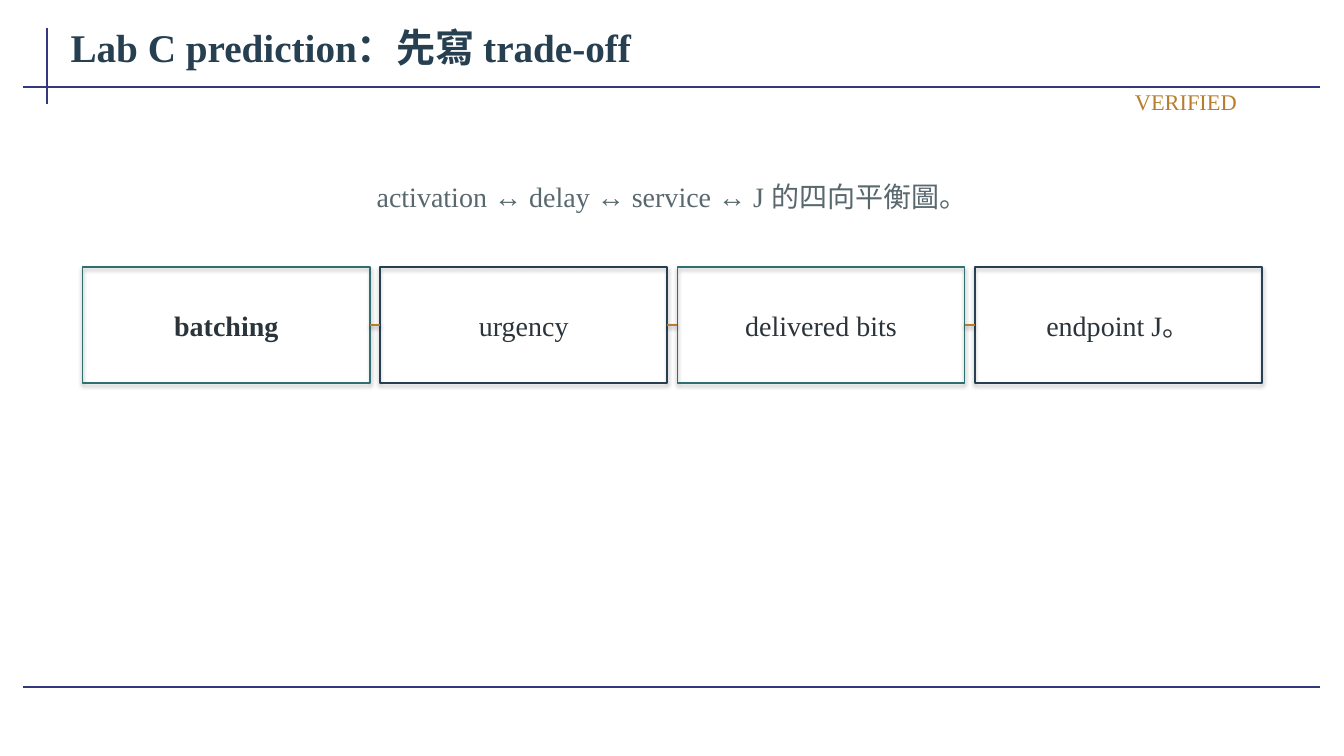
"""Build the Lab C prediction slide with its four-way trade-off row."""
from lxml import etree
from pptx import Presentation
from pptx.dml.color import RGBColor
from pptx.enum.shapes import MSO_CONNECTOR, MSO_SHAPE
from pptx.enum.text import MSO_ANCHOR, MSO_AUTO_SIZE, PP_ALIGN
from pptx.oxml.ns import qn
from pptx.util import Pt

STRAIGHT = MSO_CONNECTOR.STRAIGHT
RECTANGLE = MSO_SHAPE.RECTANGLE
MIDDLE = MSO_ANCHOR.MIDDLE
NO_AUTOFIT = MSO_AUTO_SIZE.NONE
LEFT, CENTER, RIGHT = PP_ALIGN.LEFT, PP_ALIGN.CENTER, PP_ALIGN.RIGHT

FONT = "Times New Roman"
COLORS = {
    "rule": "35377F",
    "navy": "263F51",
    "teal": "2F6F70",
    "gold": "B77D2D",
    "ink": "2A343A",
    "slate": "59686F",
    "shadow": "000000",
}

TITLE = "Lab C prediction：先寫 trade-off"
STATUS = "VERIFIED"
SUBTITLE = "activation ↔ delay ↔ service ↔ J 的四向平衡圖。"
FACTORS = [
    ("batching", "teal", True),
    ("urgency", "navy", False),
    ("delivered bits", "teal", False),
    ("endpoint J。", "navy", False),
]
RULES = [
    (33.84, 20.16, 33.84, 74.16),
    (16.56, 61.92, 943.2, 61.92),
    (16.56, 491.04, 943.2, 491.04),
]

BOX_LEFT, BOX_TOP, BOX_WIDTH, BOX_HEIGHT = 59.04, 190.8, 205.2, 82.8
BOX_GAP = 7.2
LABEL_INSET_X, LABEL_INSET_Y = 3.6, 7.2


def color(name):
    """Return the named palette colour."""
    return RGBColor.from_string(COLORS[name])


def set_shadow(shape, opacity=0, distance=0):
    """Give a shape a soft downward shadow, or none at zero opacity."""
    effects = etree.SubElement(shape._element.spPr, qn("a:effectLst"))
    if opacity:
        outer = etree.SubElement(
            effects, qn("a:outerShdw"), blurRad=str(Pt(3.15)),
            dist=str(Pt(distance)), dir="5400000", rotWithShape="0")
        tint = etree.SubElement(outer, qn("a:srgbClr"), val=COLORS["shadow"])
        etree.SubElement(tint, qn("a:alpha"), val=str(opacity * 1000))


def write_text(shape, text, size=20, fill="ink", bold=False, align=CENTER):
    """Fill a shape with one formatted paragraph."""
    frame = shape.text_frame
    frame.word_wrap = True
    frame.auto_size = NO_AUTOFIT
    frame.vertical_anchor = MIDDLE
    frame.margin_left = frame.margin_right = Pt(5.76)
    frame.margin_top = frame.margin_bottom = Pt(2.88)
    paragraph = frame.paragraphs[0]
    paragraph.alignment = align
    run = paragraph.add_run()
    run.text = text
    run.font.name = FONT
    run.font.size = Pt(size)
    run.font.bold = bold
    run.font.color.rgb = color(fill)


def add_text(slide, bounds, text, **text_format):
    """Add a text box at the given bounds."""
    box = slide.shapes.add_textbox(*map(Pt, bounds))
    write_text(box, text, **text_format)


def add_line(slide, ends, stroke, width):
    """Add a straight connector between two points."""
    line = slide.shapes.add_connector(STRAIGHT, *map(Pt, ends))
    line.line.color.rgb = color(stroke)
    line.line.width = Pt(width)
    return line


def add_factor_row(slide):
    """Add the evenly spaced factor boxes and the links between them."""
    previous = None
    middle = BOX_TOP + BOX_HEIGHT / 2
    for index, (label, stroke, bold) in enumerate(FACTORS):
        left = BOX_LEFT + index * (BOX_WIDTH + BOX_GAP)
        bounds = (left, BOX_TOP, BOX_WIDTH, BOX_HEIGHT)
        box = slide.shapes.add_shape(RECTANGLE, *map(Pt, bounds))
        box.fill.background()
        box.line.color.rgb = color(stroke)
        box.line.width = Pt(1.2)
        set_shadow(box, opacity=35, distance=1.8)
        label_bounds = (left + LABEL_INSET_X, BOX_TOP + LABEL_INSET_Y,
                        BOX_WIDTH - 2 * LABEL_INSET_X,
                        BOX_HEIGHT - 2 * LABEL_INSET_Y)
        add_text(slide, label_bounds, label, bold=bold)
        if previous is not None:
            link = add_line(slide, (left - BOX_GAP, middle, left, middle),
                            "gold", 1.2)
            link.begin_connect(previous, 3)
            link.end_connect(box, 1)
            set_shadow(link, opacity=38, distance=1.6)
        previous = box


def main():
    """Create and save the presentation."""
    presentation = Presentation()
    presentation.slide_width, presentation.slide_height = Pt(960), Pt(540)
    slide = presentation.slides.add_slide(presentation.slide_layouts[5])

    for ends in RULES:
        set_shadow(add_line(slide, ends, "rule", 1.5))

    title = slide.shapes.title
    title.left, title.top = Pt(44.64), Pt(10.8)
    title.width, title.height = Pt(899.28), Pt(44.64)
    write_text(title, TITLE, size=28, fill="navy", bold=True, align=LEFT)

    add_factor_row(slide)
    add_text(slide, (66.24, 118.8, 828, 43.2), SUBTITLE, fill="slate")
    add_text(slide, (658.8, 61.92, 230.4, 21.6), STATUS,
             size=16, fill="gold", align=RIGHT)

    presentation.save("out.pptx")


if __name__ == "__main__":
    main()
